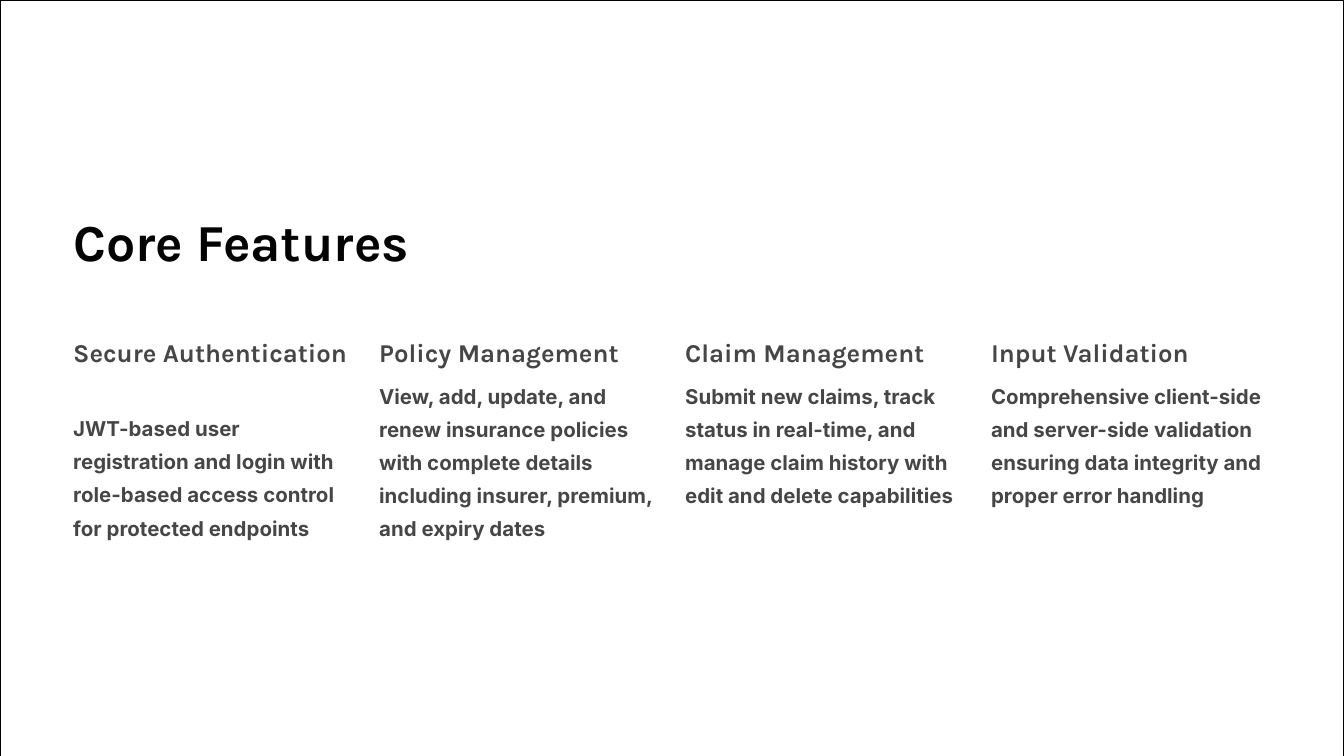
import pptx
import pptx.dml.color
import pptx.enum.shapes
import pptx.enum.text
import pptx.util

Inches = pptx.util.Inches
Pt = pptx.util.Pt

WIDTH, HEIGHT = 20, 11.25
LEFT, STEP, COL_WIDTH = 1.09, 4.553, 4.17
HEAD_TOP = 4.99

COLORS = {
    "base": "F5F5F5",
    "panel": "FFFFFF",
    "line": "000000",
    "title": "030303",
    "body": "464646",
}

# Heading, description, top and height of the description
FEATURES = [
    ("Secure Authentication",
     "JWT-based user registration and login with role-based access control "
     "for protected endpoints", 6.06, 2.08),
    ("Policy Management",
     "View, add, update, and renew insurance policies with complete details "
     "including insurer, premium, and expiry dates", 5.58, 2.57),
    ("Claim Management",
     "Submit new claims, track status in real-time, and manage claim history "
     "with edit and delete capabilities", 5.58, 2.08),
    ("Input Validation",
     "Comprehensive client-side and server-side validation ensuring data "
     "integrity and proper error handling", 5.58, 2.08),
]


def color(name):
    return pptx.dml.color.RGBColor.from_string(COLORS[name])


def add_panel(slide, fill):
    """Add an outlined rectangle that covers the slide."""
    panel = slide.shapes.add_shape(
        pptx.enum.shapes.MSO_SHAPE.RECTANGLE,
        0, 0, Inches(WIDTH), Inches(HEIGHT))
    panel.shadow.inherit = False
    panel.fill.solid()
    panel.fill.fore_color.rgb = color(fill)
    panel.line.color.rgb = color("line")
    panel.line.width = Pt(1)


def set_text(shape, text, font, size, spacing, shade):
    """Fill a shape with one bold paragraph, without insets."""
    frame = shape.text_frame
    frame.word_wrap = True
    frame.auto_size = pptx.enum.text.MSO_AUTO_SIZE.NONE
    frame.vertical_anchor = pptx.enum.text.MSO_ANCHOR.TOP
    frame.margin_left = frame.margin_right = 0
    frame.margin_top = frame.margin_bottom = 0
    frame.text = text
    para = frame.paragraphs[0]
    para.alignment = pptx.enum.text.PP_ALIGN.LEFT
    para.line_spacing = Pt(spacing)
    para.space_before = Pt(0)
    para.font.name = font
    para.font.size = Pt(size)
    para.font.bold = True
    para.font.color.rgb = color(shade)


def set_title(slide, text):
    """Place the title and bring it in front of the panels."""
    title = slide.shapes.title
    title.left, title.top = Inches(LEFT), Inches(3.08)
    title.width, title.height = Inches(7.75), Inches(0.99)
    set_text(title, text, "Karla", 55.6, 69.4, "title")
    title.element.getparent().append(title.element)


def add_feature(slide, left, head, body, top, height):
    """Add one column: a heading and its description."""
    box = slide.shapes.add_textbox(
        Inches(left), Inches(HEAD_TOP), Inches(COL_WIDTH), Inches(0.49))
    set_text(box, head, "Karla", 27.5, 34.4, "body")
    box = slide.shapes.add_textbox(
        Inches(left), Inches(top), Inches(COL_WIDTH), Inches(height))
    set_text(box, body, "Inter", 21.9, 35.6, "body")


def main():
    deck = pptx.Presentation()
    deck.slide_width = Inches(WIDTH)
    deck.slide_height = Inches(HEIGHT)
    slide = deck.slides.add_slide(deck.slide_layouts[5])

    # Backdrop
    for fill in ("base", "panel"):
        add_panel(slide, fill)

    # Title and feature columns
    set_title(slide, "Core Features")
    for i, feature in enumerate(FEATURES):
        add_feature(slide, LEFT + i * STEP, *feature)

    deck.save("out.pptx")


if __name__ == "__main__":
    main()
